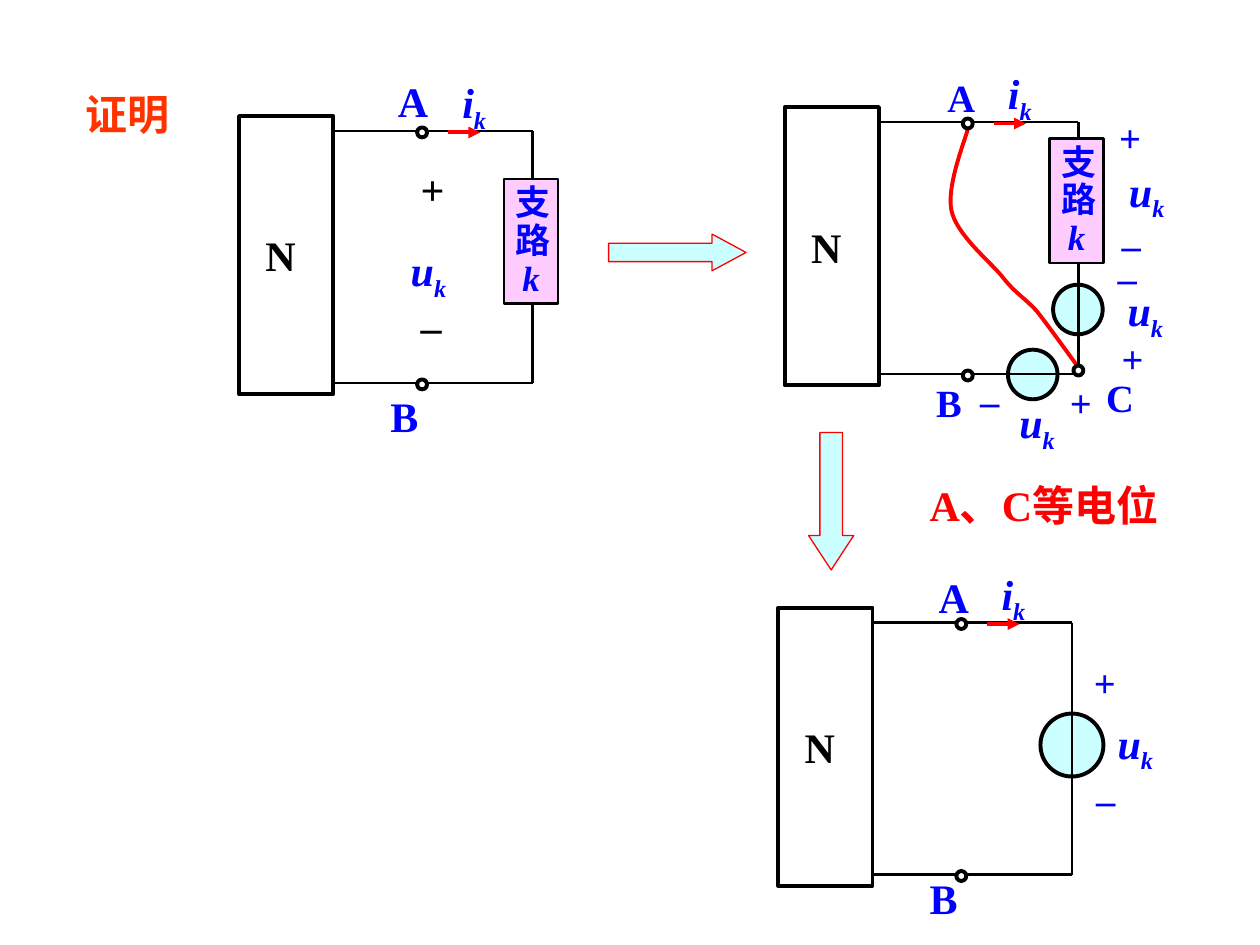
from lxml.etree import SubElement
from pptx import Presentation
from pptx.dml.color import RGBColor
from pptx.enum.shapes import MSO_CONNECTOR, MSO_SHAPE
from pptx.enum.text import MSO_ANCHOR, PP_ALIGN
from pptx.oxml.ns import qn
from pptx.util import Cm, Pt

COLORS = {
    "black": "000000", "white": "FFFFFF", "blue": "0000FF", "red": "FF0000",
    "orange": "FF3300", "cyan": "CCFFFF", "pink": "FFCCFF",
}
WIRE_LENGTH, PORT_HEIGHT = 4.01, 5.08


class CircuitSlide:
    font_name = "Times New Roman"
    thin, thick = 1.5, 2.25

    def __init__(self, slide):
        self.slide = slide
        self.shapes = slide.shapes

    def start_group(self):
        self.shapes = self.slide.shapes.add_group_shape().shapes

    def end_group(self):
        self.shapes = self.slide.shapes

    def style_line(self, line, color, width):
        line.color.rgb = RGBColor.from_string(COLORS[color])
        line.width = Pt(width)

    def style_font(self, font, size, color):
        font.name, font.size, font.bold = self.font_name, Pt(size), True
        font.color.rgb = RGBColor.from_string(COLORS[color])

    def text_frame(self, shape, inset, anchor):
        frame = shape.text_frame
        frame.word_wrap = True
        frame.vertical_anchor = anchor
        frame.margin_left = frame.margin_right = Cm(inset[0])
        frame.margin_top = frame.margin_bottom = Cm(inset[1])
        return frame

    def shape(self, kind, left, top, width, height, fill=None, line="black", weight=thick):
        shape = self.shapes.add_shape(kind, Cm(left), Cm(top), Cm(width), Cm(height))
        shape.shadow.inherit = False
        if fill:
            shape.fill.solid()
            shape.fill.fore_color.rgb = RGBColor.from_string(COLORS[fill])
        else:
            shape.fill.background()
        self.style_line(shape.line, line, weight)
        return shape

    def circle(self, center_x, center_y, diameter, fill):
        self.shape(MSO_SHAPE.OVAL, center_x - diameter / 2, center_y - diameter / 2,
                   diameter, diameter, fill)

    def terminal(self, center_x, center_y):
        self.circle(center_x, center_y, 0.2, "white")

    def block_arrow(self, left, top, width, height, head, rotation=0):
        arrow = self.shape(MSO_SHAPE.RIGHT_ARROW, left, top, width, height, "cyan", "red", 0.75)
        arrow.adjustments[1] = head
        arrow.rotation = rotation

    def wire(self, x1, y1, x2, y2, color="black", weight=thin, arrow=False):
        connector = self.shapes.add_connector(
            MSO_CONNECTOR.STRAIGHT, Cm(x1), Cm(y1), Cm(x2), Cm(y2))
        self.style_line(connector.line, color, weight)
        if arrow:
            SubElement(connector.line._get_or_add_ln(), qn("a:tailEnd"), type="triangle")
        SubElement(connector._element.spPr, qn("a:effectLst"))

    def curve(self, points, color):
        start, *controls = [(Cm(x), Cm(y)) for x, y in points]
        builder = self.shapes.build_freeform(*start)
        builder.add_line_segments(controls, close=False)
        shape = builder.convert_to_shape()
        shape.shadow.inherit = False
        shape.fill.background()
        self.style_line(shape.line, color, self.thick)
        # Every three segments become one Bézier segment
        segments = list(shape._element.iter(qn("a:lnTo")))
        outline = segments[0].getparent()
        for first in range(0, len(segments), 3):
            bezier = SubElement(outline, qn("a:cubicBezTo"))
            for segment in segments[first:first + 3]:
                bezier.append(segment[0])
                outline.remove(segment)

    def label(self, text, left, top, width, height=1.17, size=22, color="blue",
              inset=(0.23, 0.13), anchor=MSO_ANCHOR.TOP):
        box = self.shapes.add_textbox(Cm(left), Cm(top), Cm(width), Cm(height))
        paragraph = self.text_frame(box, inset, anchor).paragraphs[0]
        paragraph.text = text
        self.style_font(paragraph.font, size, color)
        return paragraph

    def variable(self, letter, left, top, width=1.3):
        paragraph = self.label(letter, left, top, width, 1.4, 24)
        subscript = paragraph.add_run()
        subscript.text = "k"
        subscript.font._element.set("baseline", "-25000")
        paragraph.font.italic = True

    def heading(self, text, left, top, width, color):
        self.label(text, left, top, width, 1.27, 24, color, (0.25, 0.13), MSO_ANCHOR.MIDDLE)

    def branch(self, left, top):
        box = self.shape(MSO_SHAPE.RECTANGLE, left, top, 1.09, 2.51, "pink", weight=self.thin)
        paragraph = self.text_frame(box, (0.23, 0.13), MSO_ANCHOR.TOP).paragraphs[0]
        paragraph.alignment = PP_ALIGN.CENTER
        paragraph.line_spacing = 0.9
        self.style_font(paragraph.font, 20, "blue")
        paragraph.add_run().text = "支路"
        letter = paragraph.add_run()
        letter.text = "k"
        letter.font.italic = True

    def network(self, x, y):
        """Network N with its port wires; (x, y) is where the upper wire starts."""
        right, bottom = x + WIRE_LENGTH, y + PORT_HEIGHT
        box = self.shape(MSO_SHAPE.RECTANGLE, x - 1.91, y - 0.3, 1.9, 5.61)
        paragraph = self.text_frame(box, (0.53, 0.25), MSO_ANCHOR.MIDDLE).paragraphs[0]
        paragraph.text = "N"
        paragraph.alignment = PP_ALIGN.LEFT
        self.style_font(paragraph.font, 24, "black")
        self.wire(x, y, right, y)
        self.wire(right, y, right, bottom)
        self.wire(x, bottom, right, bottom)
        self.wire(x + 2.3, y + 0.03, x + 2.95, y + 0.03, "red", self.thick, arrow=True)
        for wire_y in (y, bottom):
            self.terminal(x + 1.78, wire_y + 0.03)
        self.variable("i", x + 2.36, y - 1.22)


def main():
    presentation = Presentation()
    presentation.slide_width, presentation.slide_height = Cm(25.4), Cm(19.05)
    page = CircuitSlide(presentation.slides.add_slide(presentation.slide_layouts[6]))

    # Headings and step arrows
    page.heading("证明", 1.47, 1.65, 3.02, "orange")
    page.heading("A、C等电位", 18.49, 9.53, 5.79, "red")
    page.block_arrow(12.27, 4.72, 2.77, 0.74, 0.925)
    page.block_arrow(15.37, 9.65, 2.77, 0.91, 0.762, rotation=90)

    # Given circuit with branch k
    page.start_group()
    page.network(6.73, 2.64)
    page.branch(10.16, 3.61)
    for text, left, top, width, color in (
            ("+", 8.0, 3.07, 1.07, "black"), ("–", 8.0, 5.82, 1.07, "black"),
            ("A", 7.54, 1.3, 1.37, "blue"), ("B", 7.39, 7.65, 1.32, "blue")):
        page.label(text, left, top, width, 1.5, 24, color, (0.48, 0.23))
    page.variable("u", 8.05, 4.8)
    page.end_group()

    # Equal-potential link from A to C
    page.curve([(19.53, 2.54),
                (19.46, 2.82), (19.08, 3.73), (19.18, 4.24),
                (19.28, 4.72), (19.91, 5.23), (20.19, 5.56),
                (20.47, 5.92), (20.62, 5.97), (20.9, 6.27),
                (21.16, 6.6), (21.59, 7.21), (21.79, 7.47)], "red")

    # Circuit with two opposing sources added
    page.start_group()
    for center_x, center_y in ((20.82, 7.55), (21.73, 6.24)):
        page.circle(center_x, center_y, 1.0, "cyan")
    page.network(17.73, 2.46)
    page.terminal(21.74, 7.47)
    page.branch(21.16, 2.79)
    for text, left, top in (
            ("A", 18.87, 1.37), ("B", 18.64, 7.52), ("C", 22.07, 7.42),
            ("+", 22.33, 2.16), ("–", 22.38, 4.32), ("–", 22.3, 5.0),
            ("+", 22.38, 6.63), ("+", 21.34, 7.52), ("–", 19.53, 7.47)):
        page.label(text, left, top, 0.89 if text == "+" else 1.04)
    for left, top in ((22.53, 3.2), (22.5, 5.61), (20.32, 7.87)):
        page.variable("u", left, top)
    page.end_group()

    # Result: branch replaced by a voltage source
    page.start_group()
    page.circle(21.61, 15.02, 1.27, "cyan")
    page.network(17.6, 12.55)
    page.label("+", 21.82, 13.16, 0.89)
    page.label("–", 21.87, 15.52, 1.04)
    page.variable("u", 22.3, 14.33, 1.63)
    for text, left, top in (("A", 18.67, 11.4), ("B", 18.49, 17.45)):
        page.label(text, left, top, 1.12, 1.27, 24, inset=(0.25, 0.13))
    page.end_group()

    presentation.save("out.pptx")


if __name__ == "__main__":
    main()
